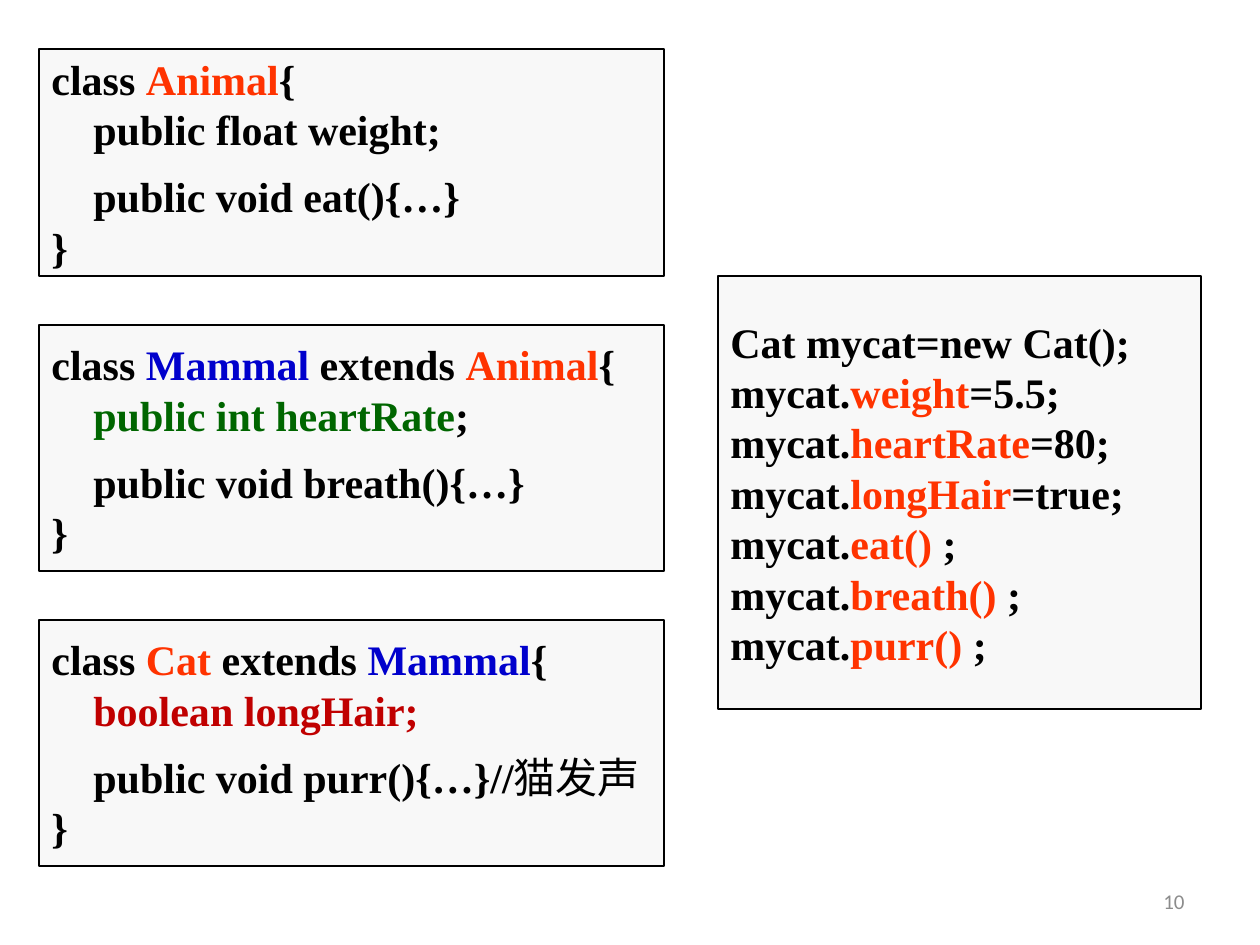
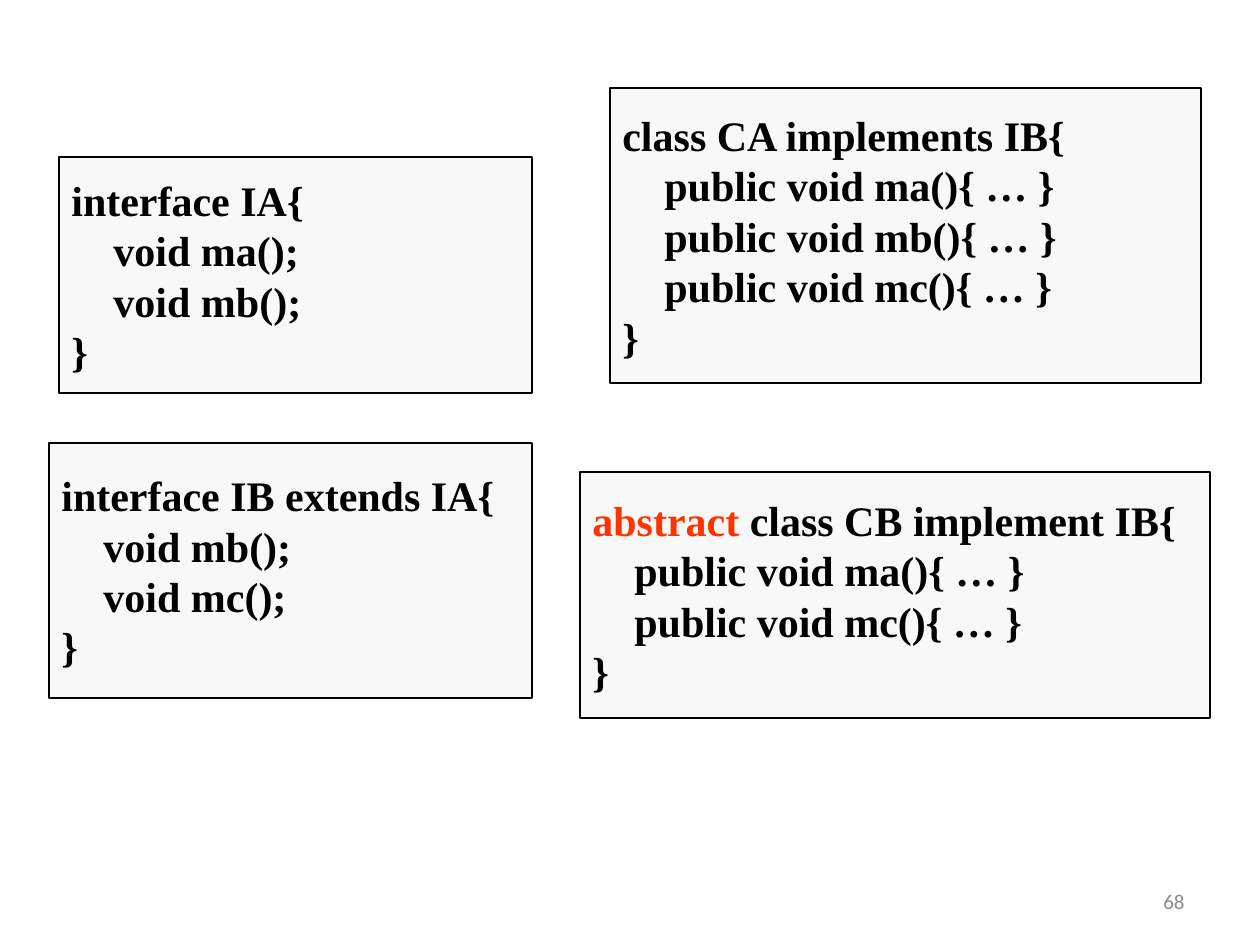
from pptx import Presentation
from pptx.dml.color import RGBColor
from pptx.enum.shapes import MSO_SHAPE
from pptx.enum.text import MSO_ANCHOR, PP_ALIGN
from pptx.util import Pt

PIXEL = 914400 // 126  # EMU in one pixel

BLACK = RGBColor(0x00, 0x00, 0x00)
PANEL = RGBColor(0xF8, 0xF8, 0xF8)
GREY = RGBColor(0x8C, 0x8C, 0x8C)
ORANGE = RGBColor(0xFF, 0x33, 0x00)
BLUE = RGBColor(0x00, 0x00, 0xCC)
GREEN = RGBColor(0x00, 0x66, 0x00)
RED = RGBColor(0xC0, 0x00, 0x00)

CODE_FONT = "Times New Roman"
BODY_FONT = "Calibri"

# Kinds of code line: left indent in pixels, space before in points
FLUSH = (0, 0)
MEMBER = (42, 0)
METHOD = (42, 9.5)  # a member set apart from the fields above it


def add_code_box(slide, box, lines):
    """Add a framed code panel; each line is a kind and (text, colour) runs."""
    shape = slide.shapes.add_shape(
        MSO_SHAPE.RECTANGLE, *(length * PIXEL for length in box))
    shape.shadow.inherit = False
    shape.fill.solid()
    shape.fill.fore_color.rgb = PANEL
    shape.line.color.rgb = BLACK
    shape.line.width = Pt(0.75)
    frame = shape.text_frame
    frame.word_wrap = False
    frame.vertical_anchor = MSO_ANCHOR.MIDDLE
    for index, ((indent, space), *runs) in enumerate(lines):
        paragraph = frame.add_paragraph() if index else frame.paragraphs[0]
        paragraph.alignment = PP_ALIGN.LEFT
        paragraph.space_before = Pt(space)
        paragraph.font.name = CODE_FONT
        paragraph.font.size = Pt(24)
        paragraph.font.bold = True
        if indent:
            paragraph._p.get_or_add_pPr().set("marL", str(indent * PIXEL))
        for text, colour in runs:
            run = paragraph.add_run()
            run.text = text
            run.font.color.rgb = colour
            if not text.isascii() and "…" not in text:  # Chinese comment
                run.font.name = BODY_FONT
                run.font.bold = False


def add_page_number(slide, number):
    """Add the grey page number at the bottom right."""
    text_box = slide.shapes.add_textbox(
        903 * PIXEL, 876 * PIXEL, 294 * PIXEL, 50 * PIXEL)
    frame = text_box.text_frame
    frame.word_wrap = True
    frame.vertical_anchor = MSO_ANCHOR.MIDDLE
    paragraph = frame.paragraphs[0]
    paragraph.text = str(number)
    paragraph.alignment = PP_ALIGN.RIGHT
    paragraph.font.name = BODY_FONT
    paragraph.font.size = Pt(12)
    paragraph.font.color.rgb = GREY


CLOSING = (FLUSH, ("}", BLACK))

animal = [
    (FLUSH, ("class ", BLACK), ("Animal", ORANGE), ("{", BLACK)),
    (MEMBER, ("public float weight;", BLACK)),
    (METHOD, ("public void eat(){…}", BLACK)),
    CLOSING,
]
mammal = [
    (FLUSH, ("class ", BLACK), ("Mammal ", BLUE), ("extends ", BLACK),
     ("Animal", ORANGE), ("{", BLACK)),
    (MEMBER, ("public int heartRate", GREEN), (";", BLACK)),
    (METHOD, ("public void breath(){…}", BLACK)),
    CLOSING,
]
cat = [
    (FLUSH, ("class ", BLACK), ("Cat ", ORANGE), ("extends ", BLACK),
     ("Mammal", BLUE), ("{", BLACK)),
    (MEMBER, ("boolean longHair;", RED)),
    (METHOD, ("public void purr(){…}//", BLACK), ("猫发声", BLACK)),
    CLOSING,
]
cat_usage = [(FLUSH, ("Cat mycat=new Cat();", BLACK))]
for member, ending in [("weight", "=5.5;"), ("heartRate", "=80;"),
                       ("longHair", "=true;"), ("eat() ", ";"),
                       ("breath() ", ";"), ("purr() ", ";")]:
    cat_usage.append(
        (FLUSH, ("mycat.", BLACK), (member, ORANGE), (ending, BLACK)))

# Interface slide: box, heading runs, member pattern, method names
interface_boxes = [
    ((59, 157, 473, 236), [("interface IA{", BLACK)],
     "void {}();", ["ma", "mb"]),
    ((610, 88, 591, 295), [("class CA implements IB{", BLACK)],
     "public void {}(){{ … }}", ["ma", "mb", "mc"]),
    ((580, 472, 630, 246),
     [("abstract", ORANGE), (" class CB implement IB{", BLACK)],
     "public void {}(){{ … }}", ["ma", "mc"]),
    ((49, 443, 483, 255), [("interface IB extends IA{", BLACK)],
     "void {}();", ["mb", "mc"]),
]

presentation = Presentation()
presentation.slide_width = 1260 * PIXEL
presentation.slide_height = 945 * PIXEL
blank_layout = presentation.slide_layouts[6]

# Slide 1: class inheritance
slide = presentation.slides.add_slide(blank_layout)
add_page_number(slide, 10)
add_code_box(slide, (39, 49, 625, 227), animal)
add_code_box(slide, (718, 276, 483, 433), cat_usage)
add_code_box(slide, (39, 325, 625, 246), mammal)
add_code_box(slide, (39, 620, 625, 246), cat)

# Slide 2: interfaces and the classes that implement them
slide = presentation.slides.add_slide(blank_layout)
add_page_number(slide, 68)
for box, heading, pattern, methods in interface_boxes:
    members = [(MEMBER, (pattern.format(name), BLACK)) for name in methods]
    add_code_box(slide, box, [(FLUSH, *heading), *members, CLOSING])

presentation.save("out.pptx")
